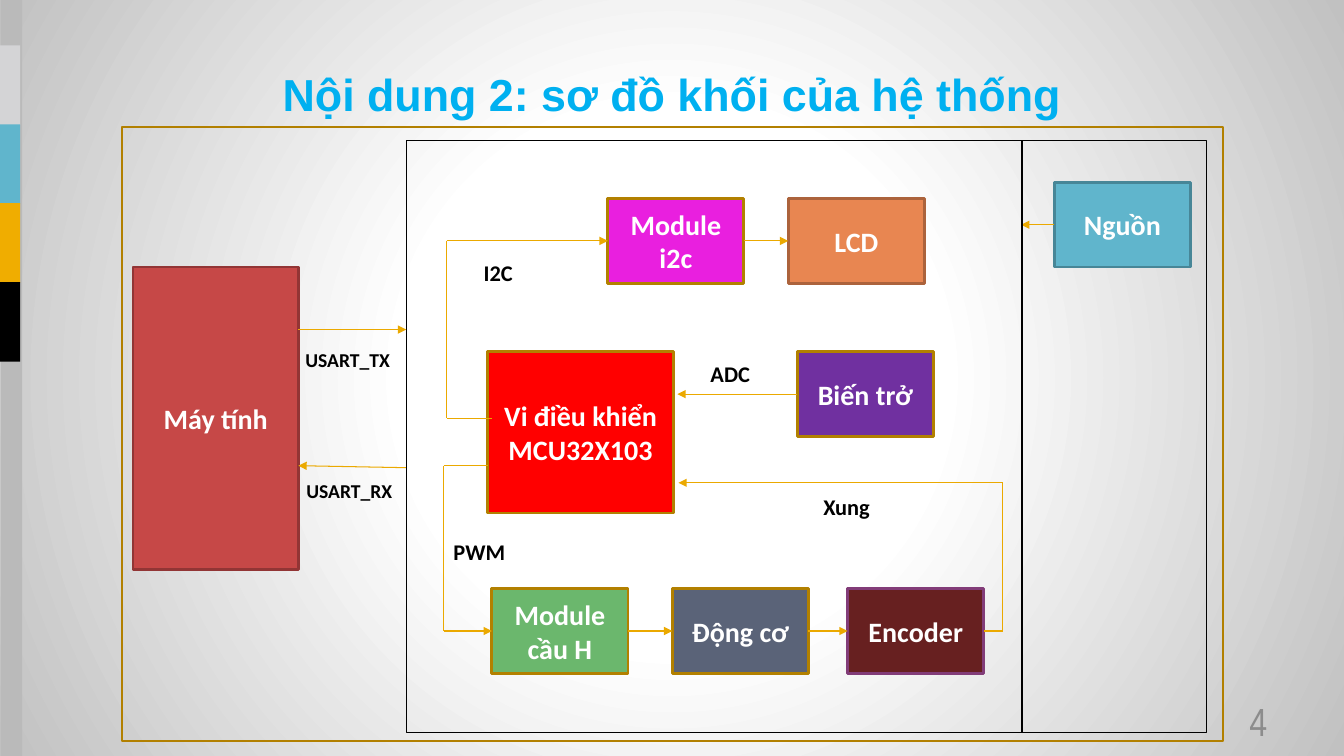
from itertools import pairwise

from lxml.etree import SubElement
from pptx import Presentation
from pptx.dml.color import RGBColor
from pptx.enum.shapes import MSO_CONNECTOR as Connector, MSO_SHAPE as Shape
from pptx.enum.text import MSO_ANCHOR as Anchor, PP_ALIGN as Align
from pptx.oxml.ns import qn
from pptx.util import Inches, Pt

COLORS = {
    "white": "FFFFFF", "edge": "C1C1C1", "black": "000000", "title": "00B0F0",
    "number": "8C8C8C", "strip": "BABABA", "silver": "D4D4D6", "sky": "60B5CC",
    "amber": "F0AD00", "arrow": "EBA900", "gold": "B28000", "red": "FF0000",
    "orange": "E88651", "rust": "AC633C", "brick": "C64847", "wine": "923535",
    "slate": "5A6378", "purple": "7030A0", "teal": "478697",
    "magenta": "E91FDF", "green": "6BB76D", "maroon": "672020", "plum": "823C78",
}
COLUMNS, ROWS = 133.33, 75
CELL = Inches(0.1)
LEFT, RIGHT = 1, 3
BLOCK = (13.5, 8.4)


def cells(*counts):
    """Turn counts of grid columns or rows into lengths."""
    return [round(count * CELL) for count in counts]


def color(name):
    return RGBColor.from_string(COLORS[name])


def paint_background(slide):
    fill = slide.background.fill
    fill.gradient()
    for stop, name, position in zip(fill.gradient_stops, ("white", "edge"), (0.35, 1)):
        stop.color.rgb = color(name)
        stop.position = position
    gradient = slide.background._cSld.find(".//" + qn("a:gradFill"))
    gradient.remove(gradient.find(qn("a:lin")))
    circle = SubElement(gradient, qn("a:path"), {"path": "circle"})
    SubElement(circle, qn("a:fillToRect"), dict.fromkeys("ltrb", "50000"))


def write(shape, text, size=20, font="Calibri", ink="white", bold=True,
          align=Align.CENTER, anchor=Anchor.MIDDLE):
    frame = shape.text_frame
    frame.word_wrap = True
    frame.vertical_anchor = anchor
    frame.text = text
    for paragraph in frame.paragraphs:
        paragraph.alignment = align
        paragraph.font.size = Pt(size)
        paragraph.font.name = font
        paragraph.font.bold = bold
        paragraph.font.color.rgb = color(ink)


def add_text(slide, bounds, text, **style):
    write(slide.shapes.add_textbox(*cells(*bounds)), text, **style)


def add_label(slide, left, top, width, text, size=16):
    add_text(slide, (left, top, width, 3.7), text, size=size, ink="black",
             align=Align.LEFT, anchor=Anchor.TOP)


def add_rectangle(slide, bounds, fill=None, line=None, weight=0.75):
    shape = slide.shapes.add_shape(Shape.RECTANGLE, *cells(*bounds))
    shape.shadow.inherit = False
    if fill:
        shape.fill.solid()
        shape.fill.fore_color.rgb = color(fill)
    else:
        shape.fill.background()
    if line:
        shape.line.color.rgb = color(line)
        shape.line.width = Pt(weight)
    else:
        shape.line.fill.background()
    return shape


def add_block(slide, left, top, text, fill, line="gold", size=BLOCK):
    block = add_rectangle(slide, (left, top, *size), fill, line, weight=2)
    write(block, text)
    return block


def add_route(slide, *points, start=None, finish=None):
    """Join the points by straight lines, with an arrowhead at the last one."""
    for begin, end in pairwise(points):
        line = slide.shapes.add_connector(Connector.STRAIGHT, *cells(*begin, *end))
        line.line.color.rgb = color("arrow")
        line.line.width = Pt(0.75)
        SubElement(line._element.spPr, qn("a:effectLst"))
        if start and begin == points[0]:
            line.begin_connect(start, RIGHT if begin[0] < end[0] else LEFT)
        if end == points[-1]:
            SubElement(line.line._get_or_add_ln(), qn("a:tailEnd"), type="triangle")
            if finish:
                line.end_connect(finish, LEFT if begin[0] < end[0] else RIGHT)


def add_side_strip(slide):
    add_rectangle(slide, (0.1, 0, 2.1, ROWS), "strip")
    for index, name in enumerate(("silver", "sky", "amber", "black")):
        add_rectangle(slide, (0, 4.5 + 7.83 * index, 2, 7.9), name)


def add_diagram(slide):
    add_block(slide, 48.4, 34.9, "Vi điều khiển\nMCU32X103", "red", size=(18.4, 16))
    add_block(slide, 13.2, 26.5, "Máy tính", "brick", "wine", size=(16.4, 30))
    display = add_block(slide, 78.2, 19.7, "LCD", "orange", "rust")
    bus = add_block(slide, 60.3, 19.7, "Module i2c", "magenta")
    dial = add_block(slide, 79.1, 34.9, "Biến trở", "purple")
    power = add_block(slide, 104.6, 18.1, "Nguồn", "sky", "teal")
    driver = add_block(slide, 48.8, 58.4, "Module cầu H", "green")
    motor = add_block(slide, 66.7, 58.4, "Động cơ", "slate")
    encoder = add_block(slide, 84.1, 58.4, "Encoder", "maroon", "plum")

    add_route(slide, (73.8, 23.9), (78.2, 23.9), start=bus, finish=display)
    add_route(slide, (79.1, 39.1), (67.2, 39.1), start=dial)
    add_route(slide, (62.3, 62.6), (66.7, 62.6), start=driver, finish=motor)
    add_route(slide, (80.2, 62.6), (84.1, 62.6), start=motor, finish=encoder)
    add_route(slide, (97.6, 62.6), (99.5, 62.6), (99.5, 47.9), (67.3, 47.9),
              start=encoder)
    add_route(slide, (48.8, 41.5), (44.3, 41.5), (44.3, 23.9), (60.3, 23.9),
              finish=bus)
    add_route(slide, (48.4, 46.2), (44, 46.2), (44, 62.6), (48.8, 62.6),
              finish=driver)
    add_route(slide, (104.6, 22.3), (101.3, 22.3), start=power)
    add_route(slide, (29.6, 32.7), (40.3, 32.7))
    add_route(slide, (40.3, 46.4), (29.6, 46.2))

    for left, width in ((40.3, 61.1), (101.3, 18.4)):
        add_rectangle(slide, (left, 13.9, width, 58.8), line="black")

    add_label(slide, 69.5, 35.2, 9.2, "ADC")
    add_label(slide, 44, 52.9, 12, "PWM")
    add_label(slide, 80.7, 48.4, 12, "Xung")
    add_label(slide, 47, 25.2, 8.2, "I2C")
    add_label(slide, 29.3, 34, 11.5, "USART_TX", size=14)
    add_label(slide, 29.4, 47, 11.5, "USART_RX", size=14)
    add_rectangle(slide, (12.1, 12.6, 109.2, 60.9), line="gold", weight=1.5)


def main():
    presentation = Presentation()
    presentation.slide_width, presentation.slide_height = cells(COLUMNS, ROWS)
    slide = presentation.slides.add_slide(presentation.slide_layouts[6])
    paint_background(slide)
    add_side_strip(slide)
    add_text(slide, (6.7, 3, 120, 12.5), "Nội dung 2: sơ đồ khối của hệ thống",
             size=32, font="Arial", ink="title")
    add_text(slide, (95.6, 69.5, 31.1, 4), "4", size=28, font="Arial Narrow",
             ink="number", bold=False, align=Align.RIGHT)
    add_diagram(slide)
    presentation.save("out.pptx")


if __name__ == "__main__":
    main()
